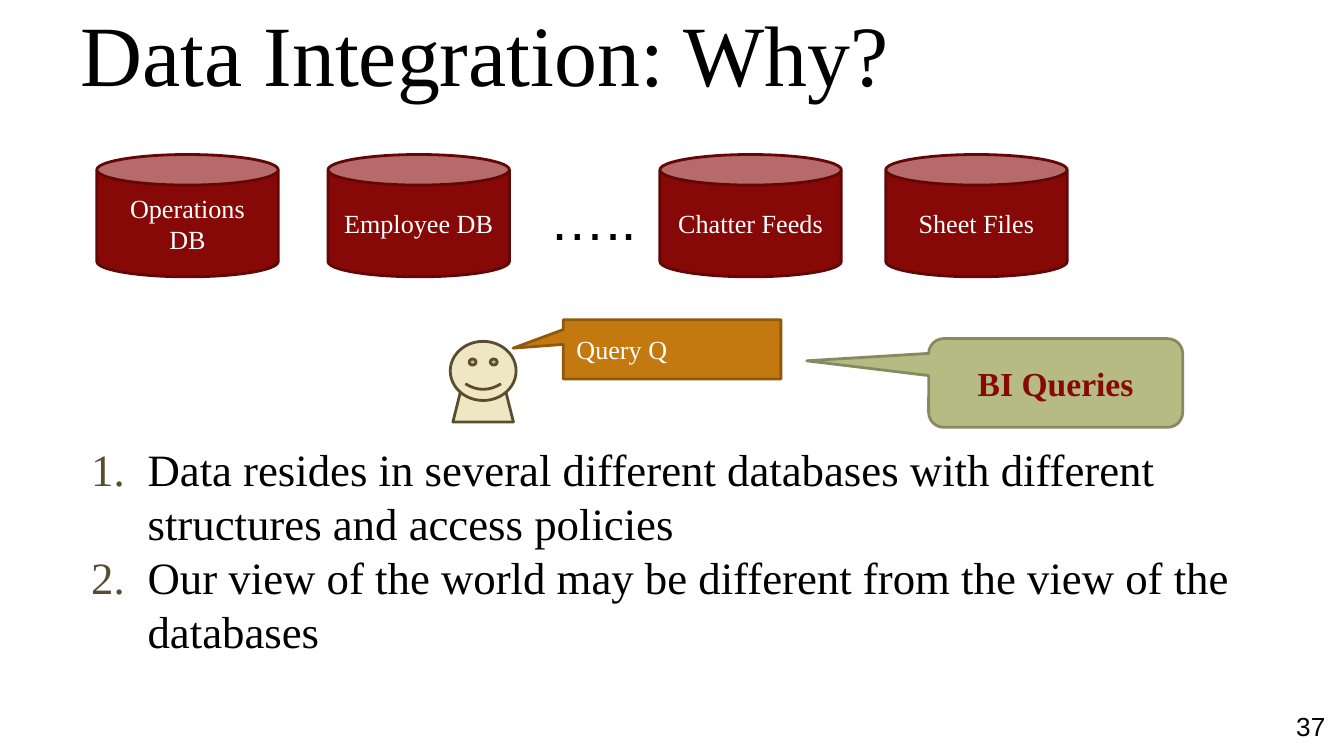
"""Build a slide on why data integration is needed."""
from lxml import etree
from pptx import Presentation
from pptx.dml.color import RGBColor
from pptx.enum.shapes import MSO_SHAPE
from pptx.enum.text import MSO_ANCHOR, PP_ALIGN
from pptx.oxml.ns import qn
from pptx.util import Inches, Pt

CAN, TRAPEZOID = MSO_SHAPE.CAN, MSO_SHAPE.TRAPEZOID
SMILEY, CALLOUT = MSO_SHAPE.SMILEY_FACE, MSO_SHAPE.ROUNDED_RECTANGULAR_CALLOUT
TOP, MIDDLE, BOTTOM = MSO_ANCHOR.TOP, MSO_ANCHOR.MIDDLE, MSO_ANCHOR.BOTTOM
LEFT, CENTER, RIGHT = PP_ALIGN.LEFT, PP_ALIGN.CENTER, PP_ALIGN.RIGHT

SERIF, SANS = "Times New Roman", "Arial"
COLORS = {
    "black": "000000", "white": "FFFFFF",
    "red": "860908", "red_line": "630706",
    "cream": "EFE7C3", "brown": "584D2E",
    "orange": "C47810", "orange_line": "91590C",
    "green": "B5BB83", "green_line": "868A61",
}

TITLE = "Data Integration: Why?"
REASONS = [
    "Data resides in several different databases with different structures and access policies",
    "Our view of the world may be different from the view of the databases",
]
SOURCES = [
    ("Operations DB", 0.72),
    ("Employee DB", 2.44),
    ("Chatter Feeds", 4.91),
    ("Sheet Files", 6.59),
]
SOURCE_TOP, SOURCE_WIDTH, SOURCE_HEIGHT = 1.15, 1.35, 0.91
USER_PARTS = [
    (TRAPEZOID, (3.37, 2.9, 0.45, 0.24), [0.25]),
    (SMILEY, (3.35, 2.54, 0.49, 0.44), [0.05]),
]
QUERY = ("Query Q", (4.19, 2.38, 1.62, 0.44), [-0.73, -0.02, 0])
BI_QUERIES = ("BI Queries", (6.91, 2.52, 1.89, 0.66), [-0.98, -0.25, 0.17])


def color(name):
    return RGBColor.from_string(COLORS[name])


def write(shape, lines, size, font=SERIF, ink="black", align=LEFT, anchor=TOP, bold=False):
    frame = shape.text_frame
    frame.text = "\n".join(lines)
    frame.word_wrap = True
    frame.vertical_anchor = anchor
    frame.margin_left = frame.margin_right = Inches(0.1)
    frame.margin_top = frame.margin_bottom = Inches(0.1)
    for paragraph in frame.paragraphs:
        paragraph.alignment = align
        for run in paragraph.runs:
            run.font.name = font
            run.font.size = Pt(size)
            run.font.bold = bold
            run.font.color.rgb = color(ink)


def add_text(slide, box, lines, size, **style):
    shape = slide.shapes.add_textbox(*map(Inches, box))
    write(shape, lines, size, **style)
    return shape


def add_shape(slide, kind, box, adjustments, fill, line):
    shape = slide.shapes.add_shape(kind, *map(Inches, box))
    for index, value in enumerate(adjustments):
        shape.adjustments[index] = value
    shape.shadow.inherit = False
    shape.fill.solid()
    shape.fill.fore_color.rgb = color(fill)
    shape.line.color.rgb = color(line)
    shape.line.width = Pt(1.5)
    return shape


def number(paragraph, ink):
    properties = paragraph._p.get_or_add_pPr()
    properties.set("marL", str(Inches(0.5)))
    properties.set("indent", str(Inches(-0.42)))
    bullet_color = etree.SubElement(properties, qn("a:buClr"))
    etree.SubElement(bullet_color, qn("a:srgbClr"), val=COLORS[ink])
    etree.SubElement(properties, qn("a:buFont"), typeface=SERIF)
    etree.SubElement(properties, qn("a:buAutoNum"), type="arabicPeriod")


def main():
    presentation = Presentation()
    presentation.slide_width = Inches(10)
    presentation.slide_height = presentation.slide_width * 9 // 16
    slide = presentation.slides.add_slide(presentation.slide_layouts[6])

    add_text(slide, (0.5, 0.17, 9, 0.7), [TITLE], 46, anchor=BOTTOM)
    reasons = add_text(slide, (0.5, 3.19, 9, 1.86), REASONS, 24)
    for paragraph in reasons.text_frame.paragraphs:
        number(paragraph, "brown")

    for name, left in SOURCES:
        box = (left, SOURCE_TOP, SOURCE_WIDTH, SOURCE_HEIGHT)
        source = add_shape(slide, CAN, box, [0.25], "red", "red_line")
        write(source, [name], 14, ink="white", align=CENTER, anchor=MIDDLE)
    add_text(slide, (3.99, 1.27, 0.97, 0.67), ["….."], 30, font=SANS)

    for kind, box, adjustments in USER_PARTS:
        add_shape(slide, kind, box, adjustments, "cream", "brown")

    text, box, adjustments = QUERY
    query = add_shape(slide, CALLOUT, box, adjustments, "orange", "orange_line")
    write(query, [text], 14, ink="white", anchor=MIDDLE)

    text, box, adjustments = BI_QUERIES
    bi_queries = add_shape(slide, CALLOUT, box, adjustments, "green", "green_line")
    write(bi_queries, [text], 18, ink="red", align=CENTER, anchor=MIDDLE, bold=True)

    add_text(slide, (9.36, 5.19, 0.6, 0.43), ["37"], 14, font=SANS, align=RIGHT, anchor=MIDDLE)
    presentation.save("out.pptx")


if __name__ == "__main__":
    main()
